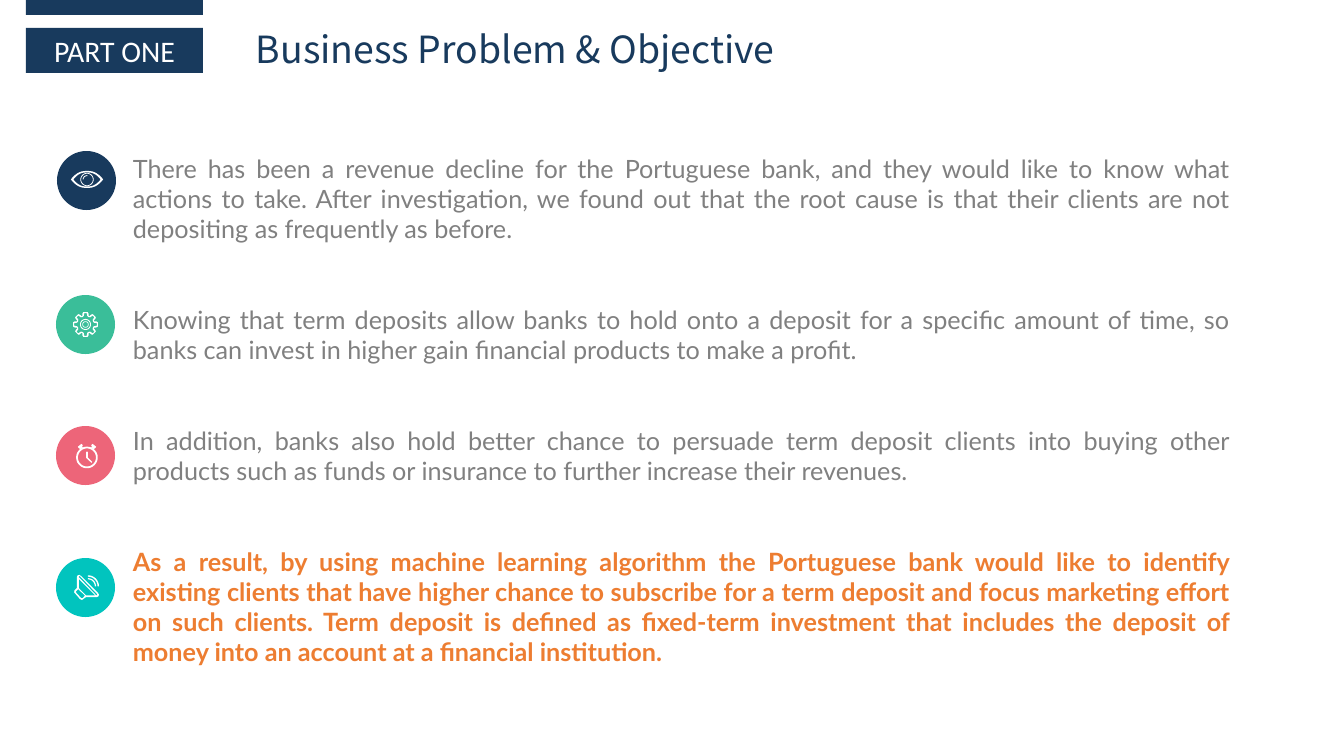
from math import cos, sin, radians

from pptx import Presentation
from pptx.dml.color import RGBColor
from pptx.enum.shapes import MSO_SHAPE
from pptx.enum.text import MSO_ANCHOR, PP_ALIGN
from pptx.util import Pt

NAVY = RGBColor(0x18, 0x3A, 0x5D)
GREEN = RGBColor(0x3A, 0xBE, 0x99)
PINK = RGBColor(0xED, 0x65, 0x79)
TEAL = RGBColor(0x01, 0xC4, 0xBE)
GRAY = RGBColor(0x80, 0x80, 0x80)
ORANGE = RGBColor(0xED, 0x7D, 0x31)
WHITE = RGBColor(0xFF, 0xFF, 0xFF)

# Content
TITLE = "Business Problem & Objective"
PART = "PART ONE"
STATEMENTS = [
    ("There has been a revenue decline for the Portuguese bank, and they would like to know "
     "what actions to take. After investigation, we found out that the root cause is that "
     "their clients are not depositing as frequently as before.", GRAY, False),
    ("Knowing that term deposits allow banks to hold onto a deposit for a specific amount of "
     "time, so banks can invest in higher gain financial products to make a profit.", GRAY, False),
    ("In addition, banks also hold better chance to persuade term deposit clients into buying "
     "other products such as funds or insurance to further increase their revenues.", GRAY, False),
    ("As a result, by using machine learning algorithm the Portuguese bank would like to "
     "identify existing clients that have higher chance to subscribe for a term deposit and "
     "focus marketing effort on such clients. Term deposit is defined as fixed-term investment "
     "that includes the deposit of money into an account at a financial institution.",
     ORANGE, True),
]


# Icon geometry: tenths of a px, measured from the middle of the disc
def arc(x, y, radius, start=0, end=360):
    return [(x + radius * cos(radians(a)), y + radius * sin(radians(a)))
            for a in range(start, end + 1, 6)]


def ring(x, y, outer, inner):
    return [arc(x, y, outer), arc(x, y, inner)]


def band(x, y, outer, inner, start, end):
    return [arc(x, y, outer, start, end) + arc(x, y, inner, start, end)[::-1]]


def lens(x, y, half_width, half_height):
    steps = [i / 12 for i in range(-12, 13)]
    lid = [(s * half_width, half_height * (1 - abs(s) ** 2.5)) for s in steps]
    return [(x + a, y - b) for a, b in lid] + [(x + a, y + b) for a, b in lid[::-1]]


def cog(tooth):
    return [(r * cos(radians(turn + a)), r * sin(radians(turn + a)))
            for turn in range(0, 360, 45) for a, r in tooth]


COG_OUTER = [(-20, 92), (-15, 114), (-10, 126), (10, 126), (15, 114), (20, 92)]
COG_INNER = [(-22, 80), (-12, 86), (-6, 115), (6, 115), (12, 86), (22, 80)]
BELL = [(-76, -88), (-40, -117), (-27, -102), (-35, -92), (-25, -82),
        (-55, -62), (-63, -74), (-69, -74)]
HANDS = [(6, -36), (15, -38), (24, -36), (24, 20), (67, 65), (60, 74), (6, 24)]
HORN_OUTLINE = [(-45, -116), (-60, -126), (-78, -122), (-86, -106), (-86, 5), (-110, 28),
                (-114, 48), (-55, 116), (-35, 126), (-22, 116), (5, 96), (116, 96),
                (132, 86), (134, 70), (126, 55)]
HORN_HANDLE = [(-5, 80), (-25, 103), (-35, 108), (-45, 104), (-96, 48), (-96, 40), (-72, 17)]
HORN_CONE = [(5, 78), (-66, 6), (-66, -86), (96, 78)]
HORN_RIM = [(116, 78), (106, 76), (-66, -104), (-66, -112), (-56, -114), (116, 66)]

EYE = [[lens(5, -10, 161, 85), lens(5, -10, 136, 70)],
       ring(5, -10, 66, 58), band(5, -10, 42, 34, 180, 276)]
GEAR = [[cog(COG_OUTER), cog(COG_INNER)], ring(0, 0, 55, 46), ring(0, 0, 32, 25)]
CLOCK = [ring(15, 20, 108, 90), [BELL], [[(30 - x, y) for x, y in BELL]], [HANDS]]
MEGAPHONE = [[HORN_OUTLINE, HORN_HANDLE, HORN_CONE, HORN_RIM],
             band(25, -12, 81, 69, -90, 0), band(25, -12, 110, 96, -90, 0)]

# Disc left, top, colour and icon
DISC_SIZE = 59
DISCS = [(57, 151, NAVY, EYE), (56, 295, GREEN, GEAR),
         (56, 426, PINK, CLOCK), (56, 558, TEAL, MEGAPHONE)]

PX = 12192000 / 1344
presentation = Presentation()
presentation.slide_width, presentation.slide_height = round(1344 * PX), round(756 * PX)
slide = presentation.slides.add_slide(presentation.slide_layouts[6])
shapes = slide.shapes


def emu(*lengths):
    return [round(length * PX) for length in lengths]


def paint(shape, color):
    shape.shadow.inherit = False
    shape.fill.solid()
    shape.fill.fore_color.rgb = color
    shape.line.fill.background()
    return shape


def block(kind, box, color):
    return paint(shapes.add_shape(kind, *emu(*box)), color)


def write(paragraph, text, font, size, color, bold=False, align=PP_ALIGN.JUSTIFY):
    paragraph.alignment = align
    run = paragraph.add_run()
    run.text = text
    run.font.name, run.font.size, run.font.bold = font, Pt(size), bold
    run.font.color.rgb = color


def text_box(*box):
    frame = shapes.add_textbox(*emu(*box)).text_frame
    frame.word_wrap = True
    return frame


def draw_icon_part(contours, x, y):
    builder = None
    for contour in contours:
        points = [(round(a), round(b)) for a, b in contour]
        if builder is None:
            builder = shapes.build_freeform(*points[0], scale=PX / 10)
        else:
            builder.move_to(*points[0])
        builder.add_line_segments(points[1:], close=True)
    paint(builder.convert_to_shape(*emu(x, y)), WHITE)


# Header
write(text_box(246, 21, 667, 55).paragraphs[0], TITLE, "Noto Sans CJK SC", 26.7, NAVY)
block(MSO_SHAPE.RECTANGLE, (26, 0, 177, 15), NAVY)
part_label = block(MSO_SHAPE.RECTANGLE, (26, 28, 177, 45), NAVY).text_frame
part_label.vertical_anchor = MSO_ANCHOR.MIDDLE
write(part_label.paragraphs[0], PART, "Calibri", 21.3, WHITE, align=PP_ALIGN.CENTER)

# Statements
body = text_box(123, 148, 1117, 529)
for index, (statement, color, bold) in enumerate(STATEMENTS):
    paragraph = body.add_paragraph() if index else body.paragraphs[0]
    if index:
        paragraph.space_before = Pt(43.2)
    write(paragraph, statement, "Lato", 18, color, bold)

# Discs and icons
for left, top, color, icon in DISCS:
    disc = block(MSO_SHAPE.ROUNDED_RECTANGLE, (left, top, DISC_SIZE, DISC_SIZE), color)
    disc.adjustments[0] = 0.5
    for contours in icon:
        draw_icon_part(contours, left + DISC_SIZE / 2, top + DISC_SIZE / 2)

presentation.save("out.pptx")
